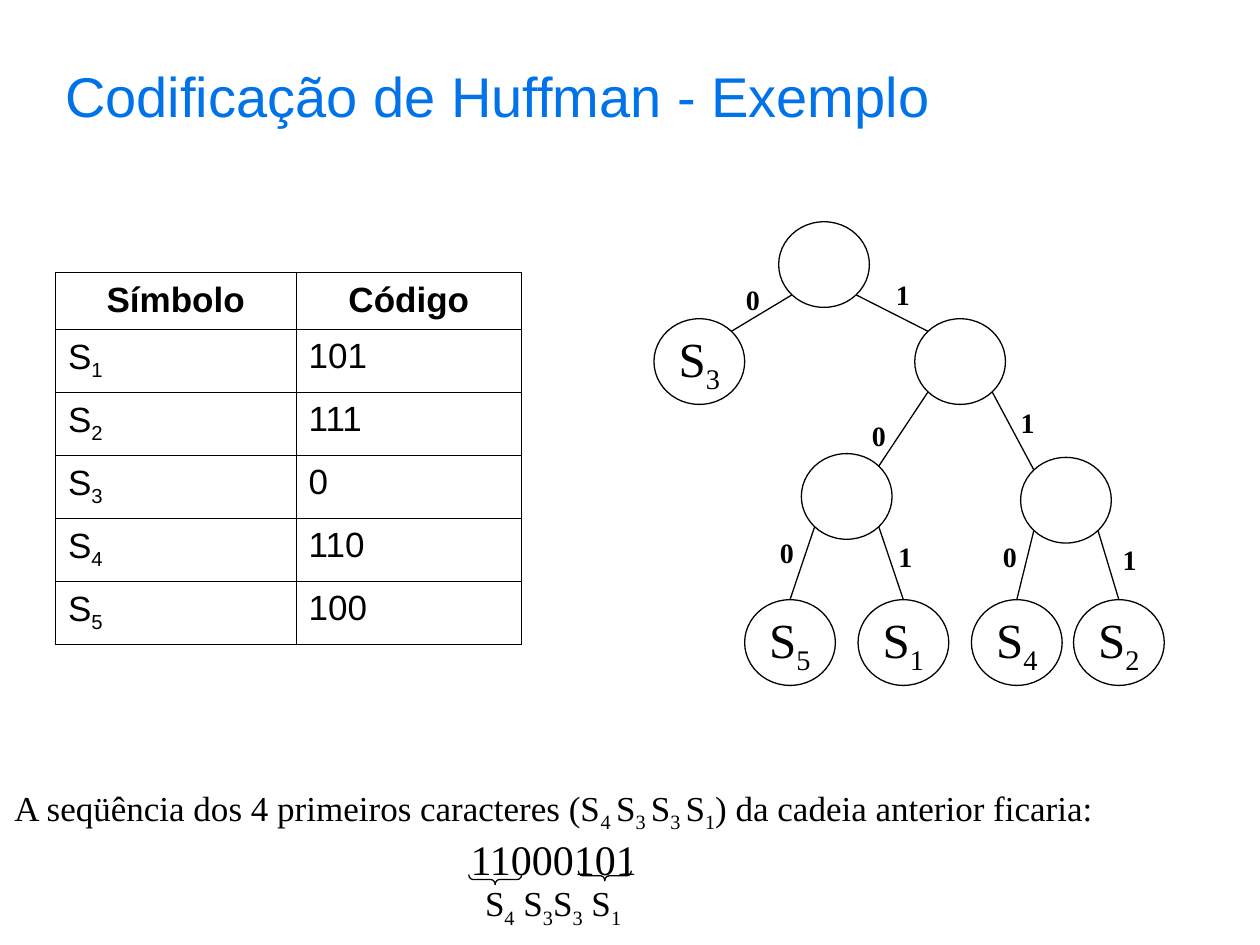
from dataclasses import dataclass
from math import sqrt

from lxml import etree
from pptx import Presentation, util as u
from pptx.dml.color import RGBColor
from pptx.enum import shapes, text
from pptx.oxml.ns import qn


@dataclass(frozen=True)
class Theme:
    """Colours, fonts, type sizes and line widths of the slide."""
    ink: str = "000000"
    accent: str = "0072EA"
    sans: str = "Arial"
    serif: str = "Times New Roman"
    title: int = 32
    node: int = 28
    code: int = 24
    body: int = 20
    bit: int = 16
    line: float = 0.75
    border: float = 0.45


T = Theme()
NODE_W, NODE_H = 0.72, 0.68
BIT_W, BIT_H = 0.31, 0.37
CENTER = text.PP_ALIGN.CENTER

NODES = {
    "root": (6.18, 1.76, ""),
    "right": (7.26, 2.53, ""),
    "right_0": (6.36, 3.6, ""),
    "right_1": (8.1, 3.63, ""),
    "s3": (5.19, 2.53, "S|3"),
    "s5": (5.91, 4.76, "S|5"),
    "s1": (6.81, 4.76, "S|1"),
    "s4": (7.71, 4.76, "S|4"),
    "s2": (8.52, 4.76, "S|2"),
}
EDGES = [
    ("root", "s3", "0", 5.82, 2.19),
    ("root", "right", "1", 7.01, 2.15),
    ("right", "right_0", "0", 6.82, 3.27),
    ("right", "right_1", "1", 8, 3.17),
    ("right_0", "s5", "0", 6.09, 4.2),
    ("right_0", "s1", "1", 7.03, 4.23),
    ("right_1", "s4", "0", 7.86, 4.23),
    ("right_1", "s2", "1", 8.81, 4.26),
]
BOTTOM_LEAVES = ("s5", "s1", "s4", "s2")
CODES = [("Símbolo", "Código"), ("S|1", "101"), ("S|2", "111"),
         ("S|3", "0"), ("S|4", "110"), ("S|5", "100")]


def add_runs(p, marked, size, font=T.serif, color=T.ink, bold=False):
    """Add runs to a paragraph; every second piece between bars is a subscript."""
    for i, piece in enumerate(marked.split("|")):
        r = p.add_run()
        r.text = piece
        r.font.size, r.font.name, r.font.bold = u.Pt(size), font, bold
        r.font.color.rgb = RGBColor.from_string(color)
        if i % 2:
            r.font._element.set("baseline", "-25000")


def add_text(s, box, lines, bold=False):
    """Add a centred, unwrapped text box with one (text, size) pair per line."""
    tf = s.add_textbox(*map(u.Inches, box)).text_frame
    tf.word_wrap = False
    tf.auto_size = text.MSO_AUTO_SIZE.SHAPE_TO_FIT_TEXT
    for i, (marked, size) in enumerate(lines):
        p = tf.add_paragraph() if i else tf.paragraphs[0]
        p.alignment = CENTER
        add_runs(p, marked, size, bold=bold)


def add_title(s, title):
    """Add the slide title."""
    box = map(u.Inches, (0.42, 0.5, 8.47, 1.06))
    tf = s.add_textbox(*box).text_frame
    tf.word_wrap = True
    p = tf.paragraphs[0]
    p.line_spacing = 0.9
    add_runs(p, title, T.title, T.sans, T.accent)


def add_outline(s, kind, box):
    """Add an unfilled preset shape with a thin line."""
    sp = s.add_shape(kind, *map(u.Inches, box))
    sp.shadow.inherit = False
    sp.fill.background()
    sp.line.color.rgb = RGBColor.from_string(T.ink)
    sp.line.width = u.Pt(T.line)
    return sp


def add_node(s, x, y, label):
    """Add a tree node, labelled if it is a leaf."""
    sp = add_outline(s, shapes.MSO_SHAPE.OVAL, (x, y, NODE_W, NODE_H))
    if label:
        tf = sp.text_frame
        tf.word_wrap = False
        tf.vertical_anchor = text.MSO_ANCHOR.MIDDLE
        tf.paragraphs[0].alignment = CENTER
        add_runs(tf.paragraphs[0], label, T.node)
    return sp


def diagonal(sp, right, down):
    """Return the point of an ellipse on one of its four diagonals."""
    return (int(sp.left + sp.width / 2 * (1 + right / sqrt(2))),
            int(sp.top + sp.height / 2 * (1 + down / sqrt(2))))


def add_edge(s, parent, child, to_top):
    """Join a parent to its child with a straight line."""
    side = 1 if child.left > parent.left else -1
    start, end = diagonal(parent, side, 1), diagonal(child, -side, -1)
    line = s.add_connector(shapes.MSO_CONNECTOR.STRAIGHT, *start, *end)
    if to_top:
        line.end_connect(child, 0)
    line.line.color.rgb = RGBColor.from_string(T.ink)
    line.line.width = u.Pt(T.line)
    etree.SubElement(line._element.spPr, qn("a:effectLst"))


def add_tree(s):
    """Add the Huffman tree as one group."""
    tree = s.add_group_shape().shapes
    nodes = {name: add_node(tree, *node) for name, node in NODES.items()}
    for parent, child, bit, x, y in EDGES:
        add_edge(tree, nodes[parent], nodes[child], child in BOTTOM_LEAVES)
        add_text(tree, (x, y, BIT_W, BIT_H), [(bit, T.bit)], bold=True)


def add_borders(cell):
    """Draw a thin line on all four sides of a cell."""
    tcPr = cell._tc.get_or_add_tcPr()
    for i, side in enumerate(("lnL", "lnR", "lnT", "lnB")):
        ln = etree.Element(qn(f"a:{side}"), w=str(u.Pt(T.border)))
        fill = etree.SubElement(ln, qn("a:solidFill"))
        etree.SubElement(fill, qn("a:srgbClr"), val=T.ink)
        tcPr.insert(i, ln)


def add_codes(s):
    """Add the table of symbols and codes."""
    box = map(u.Inches, (0.44, 2.16, 3.7, 2.95))
    table = s.add_table(len(CODES), 2, *box).table
    table.first_row = table.horz_banding = False
    for col, width in zip(table.columns, (1.91, 1.79)):
        col.width = u.Inches(width)
    for i, row in enumerate(CODES):
        table.rows[i].height = u.Inches(0.5 if i else 0.45)
        for j, marked in enumerate(row):
            cell = table.cell(i, j)
            cell.fill.background()
            add_borders(cell)
            p = cell.text_frame.paragraphs[0]
            p.line_spacing = 1.05
            p.alignment = text.PP_ALIGN.LEFT if i else CENTER
            add_runs(p, marked, T.body, T.sans, bold=i == 0)


def add_brace(s, x, y):
    """Add a brace that points down."""
    sp = add_outline(s, shapes.MSO_SHAPE.LEFT_BRACE, (x, y, 0.08, 0.42))
    sp.adjustments[0] = 0.42
    sp.rotation = 270


def main():
    """Build and save the slide."""
    prs = Presentation()
    prs.slide_width, prs.slide_height = u.Inches(10), u.Inches(7.5)
    s = prs.slides.add_slide(prs.slide_layouts[6]).shapes
    add_title(s, "Codificação de Huffman - Exemplo")
    sentence = ("A seqüência dos 4 primeiros caracteres "
                "(S|4 |S|3 |S|3 |S|1|) da cadeia anterior ficaria:")
    add_text(s, (0.01, 6.19, 8.77, 0.88),
             [(sentence, T.body), ("11000101", T.code)])
    add_text(s, (3.74, 6.95, 1.3, 0.48), [("S|4| S|3|S|3| S|1", T.body)])
    add_codes(s)
    add_tree(s)
    add_brace(s, 3.89, 6.77)
    add_brace(s, 4.76, 6.74)
    prs.save("out.pptx")


if __name__ == "__main__":
    main()
